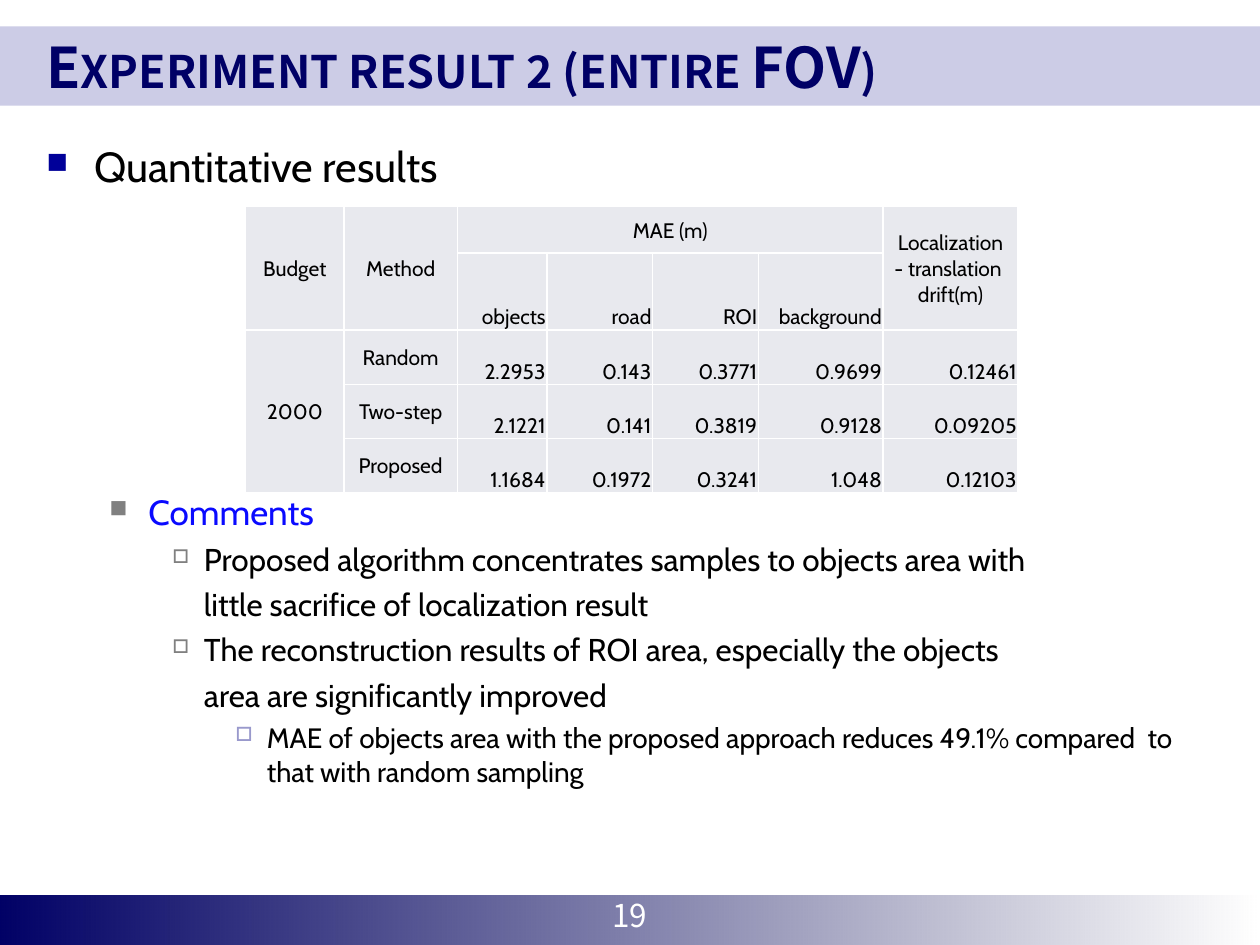
from lxml.etree import SubElement
from pptx import Presentation
from pptx.dml.color import RGBColor
from pptx.enum.shapes import MSO_SHAPE
from pptx.enum.text import MSO_ANCHOR, PP_ALIGN
from pptx.oxml import parse_xml
from pptx.oxml.ns import nsdecls, qn
from pptx.util import Inches, Pt

HEADING_FONT, BODY_FONT = "Noto Sans CJK KR", "Cabin"
NAVY, BLACK, WHITE = "000066", "000000", "FFFFFF"


def color(value):
    return RGBColor.from_string(value)


def style(para, size, name, value):
    """Set the font of a whole paragraph."""
    para.font.size = Pt(size)
    para.font.name = name
    para.font.color.rgb = color(value)


deck = Presentation()
deck.slide_width, deck.slide_height = Inches(10), Inches(7.5)
page = deck.slides.add_slide(deck.slide_layouts[6])

# Title band and footer band
bands = []
for top, height in ((0.21, 0.63), (7.11, 0.39)):
    band = page.shapes.add_shape(MSO_SHAPE.RECTANGLE, 0, Inches(top), Inches(10), Inches(height))
    band.shadow.inherit = False
    band.line.fill.background()
    bands.append(band)
title_band, footer_band = bands
title_band.fill.solid()
title_band.fill.fore_color.rgb = color("CCCCE6")
footer_band.fill.gradient()
footer_band.fill.gradient_angle = 0
start, end = footer_band.fill.gradient_stops
start.position, end.position = 0, 1
start.color.rgb, end.color.rgb = color(NAVY), color("000049")
end_color = next(footer_band._element.spPr.iter(qn("a:gsLst")))[1][0]
SubElement(end_color, qn("a:alpha"), val="0")

# Page number
box = page.shapes.add_textbox(0, Inches(7.06), Inches(10), Inches(0.4))
box.text_frame.word_wrap = True
para = box.text_frame.paragraphs[0]
para.text = "19"
para.alignment = PP_ALIGN.CENTER
style(para, 18, HEADING_FONT, WHITE)

# Title
box = page.shapes.add_textbox(Inches(0.27), Inches(0.21), Inches(9.45), Inches(0.63))
box.text_frame.word_wrap = True
box.text_frame.vertical_anchor = MSO_ANCHOR.MIDDLE
para = box.text_frame.paragraphs[0]
para.text = "Experiment result 2 (entire FOV)"
style(para, 32, HEADING_FONT, NAVY)
para.font.bold = True
para.runs[0]._r.get_or_add_rPr().set("cap", "small")

# Bulleted text: text, size, color, indent, hanging, line spacing, space before,
# bullet, bullet color, bullet size in percent
bullets = [
    ("Quantitative results", 24, BLACK, 0.38, 0.38, 1.2, 0, "■", "000099", 70),
    ("Comments", 20, "0A0AFF", 0.81, 0.31, 1.2, 166, "■", "808080", 70),
    ("Proposed algorithm concentrates samples to objects area with\n"
     "little sacrifice of localization result",
     18, BLACK, 1.25, 0.25, 1.2, 0, "□", "808080", 60),
    ("The reconstruction results of ROI area, especially the objects\n"
     "area are significantly improved",
     18, BLACK, 1.25, 0.25, 1.2, 0, "□", "808080", 60),
    ("MAE of objects area with the proposed approach reduces 49.1% compared  to "
     "that with random sampling",
     16, BLACK, 1.75, 0.25, 1, 4, "□", "9999CC", 70),
]
box = page.shapes.add_textbox(Inches(0.27), Inches(0.99), Inches(9.45), Inches(5.73))
frame = box.text_frame
frame.word_wrap = True
for index, (text, size, ink, indent, hanging, spacing, before,
            bullet, bullet_ink, bullet_size) in enumerate(bullets):
    para = frame.add_paragraph() if index else frame.paragraphs[0]
    para.text = text
    props = para._p.get_or_add_pPr()
    props.set("marL", str(Inches(indent)))
    props.set("indent", str(-Inches(hanging)))
    SubElement(SubElement(props, qn("a:buClr")), qn("a:srgbClr"), val=bullet_ink)
    SubElement(props, qn("a:buSzPct"), val=str(bullet_size * 1000))
    SubElement(props, qn("a:buChar"), char=bullet)
    para.line_spacing = spacing
    para.space_before = Pt(before)
    style(para, size, BODY_FONT, ink)

# Results table
rows = [
    ["Budget", "Method", "MAE (m)", "", "", "", "Localization\n- translation \vdrift(m)"],
    ["", "", "objects", "road", "ROI", "background", ""],
    ["2000", "Random", "2.2953", "0.143", "0.3771", "0.9699", "0.12461"],
    ["", "Two-step", "2.1221", "0.141", "0.3819", "0.9128", "0.09205"],
    ["", "Proposed", "1.1684", "0.1972", "0.3241", "1.048", "0.12103"],
]
widths = [0.78, 0.9, 0.71, 0.84, 0.84, 0.99, 1.07]
heights = [0.37, 0.44, 0.43, 0.43, 0.43]
table = page.shapes.add_table(len(rows), len(widths), Inches(1.95), Inches(1.64),
                              Inches(sum(widths)), Inches(sum(heights))).table
for column, width in zip(table.columns, widths):
    column.width = Inches(width)
for row, height in zip(table.rows, heights):
    row.height = Inches(height)
for first, last in (((0, 0), (1, 0)), ((0, 1), (1, 1)), ((0, 2), (0, 5)),
                    ((0, 6), (1, 6)), ((2, 0), (4, 0))):
    table.cell(*first).merge(table.cell(*last))

for r, texts in enumerate(rows):
    for c, text in enumerate(texts):
        cell = table.cell(r, c)
        centered = r == 0 or c < 2
        cell.text_frame.text = text
        cell.margin_left = cell.margin_right = cell.margin_top = Inches(0.01)
        cell.margin_bottom = 0
        cell.vertical_anchor = MSO_ANCHOR.MIDDLE if centered else MSO_ANCHOR.BOTTOM
        cell.fill.solid()
        cell.fill.fore_color.rgb = color("E8E9EE")
        for para in cell.text_frame.paragraphs:
            para.alignment = PP_ALIGN.CENTER if centered else PP_ALIGN.RIGHT
            style(para, 12, BODY_FONT, BLACK)
        for position, side in enumerate(("lnL", "lnR", "lnT", "lnB")):
            border = parse_xml(
                f'<a:{side} {nsdecls("a")} w="{Pt(1)}"><a:solidFill>'
                f'<a:srgbClr val="{WHITE}"/></a:solidFill></a:{side}>')
            cell._tc.get_or_add_tcPr().insert(position, border)

deck.save("out.pptx")
